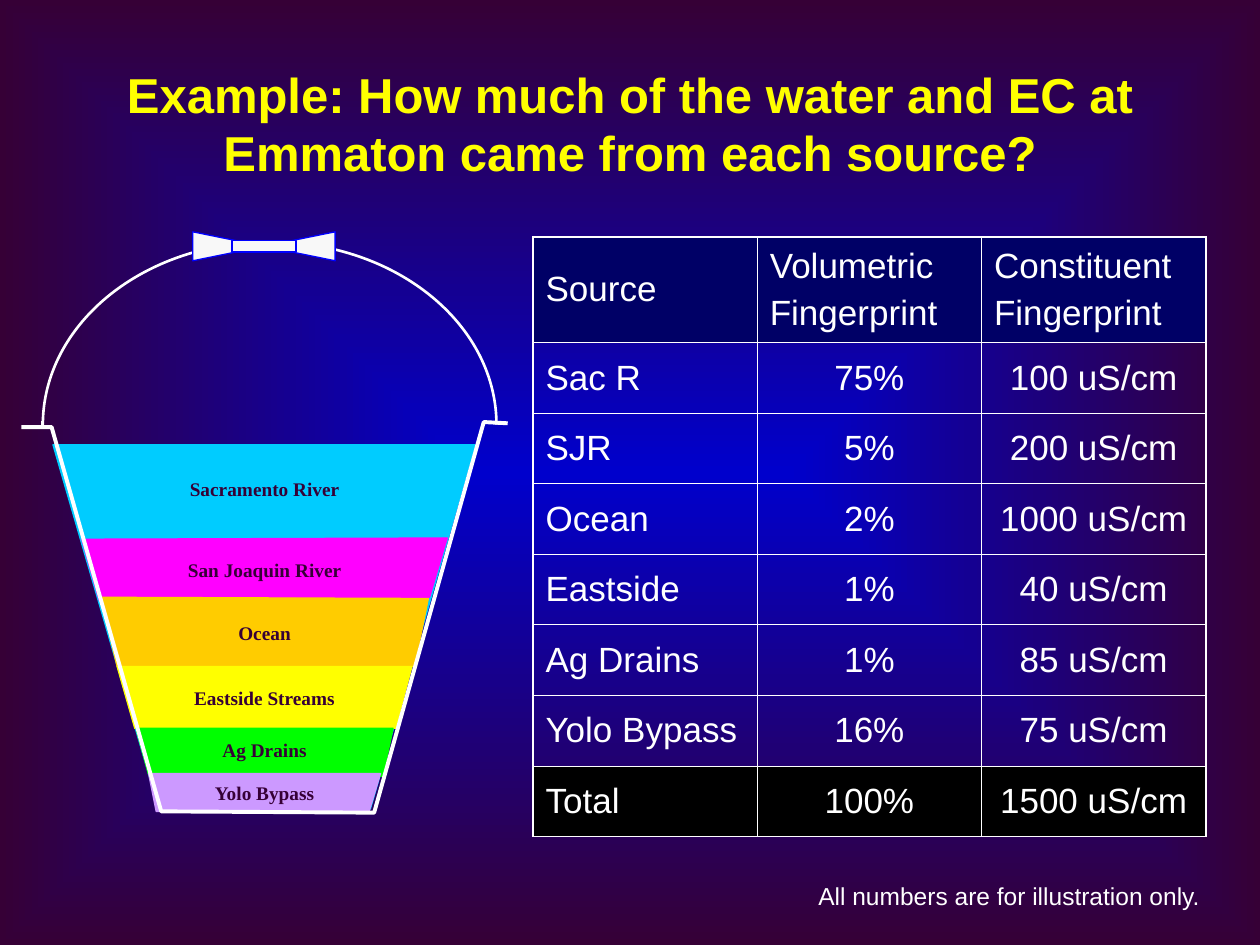
from lxml.etree import SubElement
from pptx import Presentation
from pptx.dml.color import RGBColor
from pptx.enum.shapes import MSO_CONNECTOR, MSO_SHAPE
from pptx.enum.text import MSO_ANCHOR, PP_ALIGN
from pptx.oxml import parse_xml
from pptx.oxml.ns import nsdecls, qn
from pptx.util import Inches, Pt

COLORS = {
    "center": "0000CC", "edge": "360036", "title": "FFFF00", "white": "FFFFFF",
    "sacramento": "00CCFF", "san_joaquin": "FF00FF", "ocean": "FFCC00",
    "eastside": "FFFF00", "ag_drains": "00FF00", "yolo": "CC99FF",
    "grip": "F8F8F8", "grip_line": "0000FF", "header": "000066", "total": "000000",
}


def write(frame, lines, size, color, font="Arial", bold=False, align=PP_ALIGN.CENTER):
    """Fill a text frame with one paragraph per line."""
    for index, line in enumerate(lines):
        paragraph = frame.paragraphs[0] if index == 0 else frame.add_paragraph()
        paragraph.alignment = align
        if index:
            paragraph.space_before = Pt(5)
        run = paragraph.add_run()
        run.text = line
        run.font.size = Pt(size)
        run.font.name = font
        run.font.bold = bold
        run.font.color.rgb = RGBColor.from_string(COLORS[color])


def style(shape, fill, line, width):
    shape.shadow.inherit = False
    if fill:
        shape.fill.solid()
        shape.fill.fore_color.rgb = RGBColor.from_string(COLORS[fill])
    else:
        shape.fill.background()
    shape.line.color.rgb = RGBColor.from_string(COLORS[line])
    shape.line.width = Pt(width)


presentation = Presentation()
presentation.slide_width = Inches(10)
presentation.slide_height = Inches(7.5)
slide = presentation.slides.add_slide(presentation.slide_layouts[6])

background = parse_xml(
    f'<p:bg {nsdecls("p", "a")}><p:bgPr><a:gradFill rotWithShape="0"><a:gsLst>'
    f'<a:gs pos="0"><a:srgbClr val="{COLORS["center"]}"/></a:gs>'
    f'<a:gs pos="100000"><a:srgbClr val="{COLORS["edge"]}"/></a:gs></a:gsLst>'
    '<a:path path="rect"><a:fillToRect l="50000" t="50000" r="50000" b="50000"/></a:path>'
    '</a:gradFill><a:effectLst/></p:bgPr></p:bg>')
slide._element.cSld.insert(0, background)

title = slide.shapes.add_textbox(Inches(0.75), Inches(0.35), Inches(8.5), Inches(1.25))
title.text_frame.word_wrap = True
title.text_frame.vertical_anchor = MSO_ANCHOR.MIDDLE
write(title.text_frame,
      ["Example: How much of the water and EC at Emmaton came from each source?"],
      28, "title", bold=True)

# Bucket: water layers, handle, outline, labels and grip
bucket = slide.shapes.add_group_shape().shapes
layers = [  # colour, corners, label, label top, label width, label height
    ("sacramento", [(0.42, 3.53), (3.77, 3.53), (2.94, 6.42), (1.26, 6.42)],
     "Sacramento River", 3.79, 1.89, 0.22),
    ("san_joaquin", [(0.65, 4.28), (0.79, 4.77), (3.41, 4.74), (3.55, 4.27)],
     "San Joaquin River", 4.43, 1.75, 0.2),
    ("ocean", [(0.8, 4.74), (0.93, 5.29), (3.29, 5.29), (3.4, 4.75)],
     "Ocean", 4.93, 1.13, 0.24),
    ("eastside", [(0.93, 5.29), (1.07, 5.78), (3.14, 5.78), (3.27, 5.29)],
     "Eastside Streams", 5.45, 1.73, 0.25),
    ("ag_drains", [(1.08, 5.78), (1.18, 6.15), (3.04, 6.16), (3.12, 5.78)],
     "Ag Drains", 5.86, 1.66, 0.21),
    ("yolo", [(1.18, 6.14), (1.24, 6.44), (2.93, 6.44), (3.02, 6.14)],
     "Yolo Bypass", 6.2, 1.11, 0.22),
]
outline = [(0.17, 3.39), (0.41, 3.39), (1.28, 6.44), (2.97, 6.45), (3.84, 3.35), (4.03, 3.36)]

polygons = [(corners, True, color, color, 0.75) for color, corners, *_ in layers]
polygons.append((outline, False, None, "white", 2.25))
for corners, closed, fill, line, width in polygons:
    points = [(Inches(x), Inches(y)) for x, y in corners]
    builder = bucket.build_freeform(*points[0])
    builder.add_line_segments(points[1:], close=closed)
    style(builder.convert_to_shape(), fill, line, width)

for left, start, end in [(0.34, 180, 270), (0.35, 270, 0)]:
    handle = bucket.add_shape(MSO_SHAPE.ARC, Inches(left), Inches(1.92), Inches(3.59), Inches(2.9))
    handle.adjustments[0] = start * 0.6  # 60000 units a degree, over 100000
    handle.adjustments[1] = end * 0.6
    style(handle, None, "white", 1.5)

handle_end = bucket.add_connector(
    MSO_CONNECTOR.STRAIGHT, Inches(0.34), Inches(3.34), Inches(0.34), Inches(3.4))
handle_end.line.color.rgb = RGBColor.from_string(COLORS["white"])
handle_end.line.width = Pt(1.5)
SubElement(handle_end._element.spPr, qn("a:effectLst"))

for _, _, text, top, width, height in layers:
    label = bucket.add_textbox(
        Inches(2.1 - width / 2), Inches(top), Inches(width), Inches(height))
    frame = label.text_frame
    frame.word_wrap = True
    frame.margin_left = frame.margin_right = frame.margin_top = frame.margin_bottom = 0
    write(frame, [text], 11, "edge", font="Times New Roman", bold=True)

for kind, left, top, width, height, rotation in [
    (MSO_SHAPE.FLOWCHART_COLLATE, 1.98, 1.39, 0.23, 1.13, 90),
    (MSO_SHAPE.RECTANGLE, 1.84, 1.91, 0.51, 0.09, 0),
]:
    grip = bucket.add_shape(kind, Inches(left), Inches(top), Inches(width), Inches(height))
    grip.rotation = rotation
    style(grip, "grip", "grip_line", 0.75)

note = slide.shapes.add_textbox(Inches(6.39), Inches(6.94), Inches(3.24), Inches(0.34))
note.text_frame.word_wrap = False
write(note.text_frame, ["All numbers are for illustration only."], 14, "white")

# Fingerprint table
rows = [
    ("Source", "Volumetric\nFingerprint", "Constituent\nFingerprint"),
    ("Sac R", "75%", "100 uS/cm"),
    ("SJR", "5%", "200 uS/cm"),
    ("Ocean", "2%", "1000 uS/cm"),
    ("Eastside", "1%", "40 uS/cm"),
    ("Ag Drains", "1%", "85 uS/cm"),
    ("Yolo Bypass", "16%", "75 uS/cm"),
    ("Total", "100%", "1500 uS/cm"),
]
last_row, last_column = len(rows) - 1, len(rows[0]) - 1
table = slide.shapes.add_table(
    len(rows), len(rows[0]), Inches(4.23), Inches(1.88), Inches(5.34), Inches(4.77)).table
table.first_row = table.horz_banding = False
for column in table.columns:
    column.width = Inches(1.78)
for r, values in enumerate(rows):
    table.rows[r].height = Inches(0.56 if r else 0.84)
    for c, value in enumerate(values):
        cell = table.cell(r, c)
        cell.vertical_anchor = MSO_ANCHOR.MIDDLE
        centered = r > 0 and c > 0
        write(cell.text_frame, value.split("\n"), 20, "white",
              align=PP_ALIGN.CENTER if centered else PP_ALIGN.LEFT)
        fill = {0: "header", last_row: "total"}.get(r)
        if fill:
            cell.fill.solid()
            cell.fill.fore_color.rgb = RGBColor.from_string(COLORS[fill])
        else:
            cell.fill.background()
        outer_sides = [("lnL", c == 0), ("lnR", c == last_column),
                       ("lnT", r == 0), ("lnB", r == last_row)]
        for position, (side, outer) in enumerate(outer_sides):
            border = parse_xml(
                f'<a:{side} {nsdecls("a")} w="{Pt(1.08 if outer else 0.45)}"><a:solidFill>'
                f'<a:srgbClr val="{COLORS["white"]}"/></a:solidFill></a:{side}>')
            cell._tc.get_or_add_tcPr().insert(position, border)

presentation.save("out.pptx")
